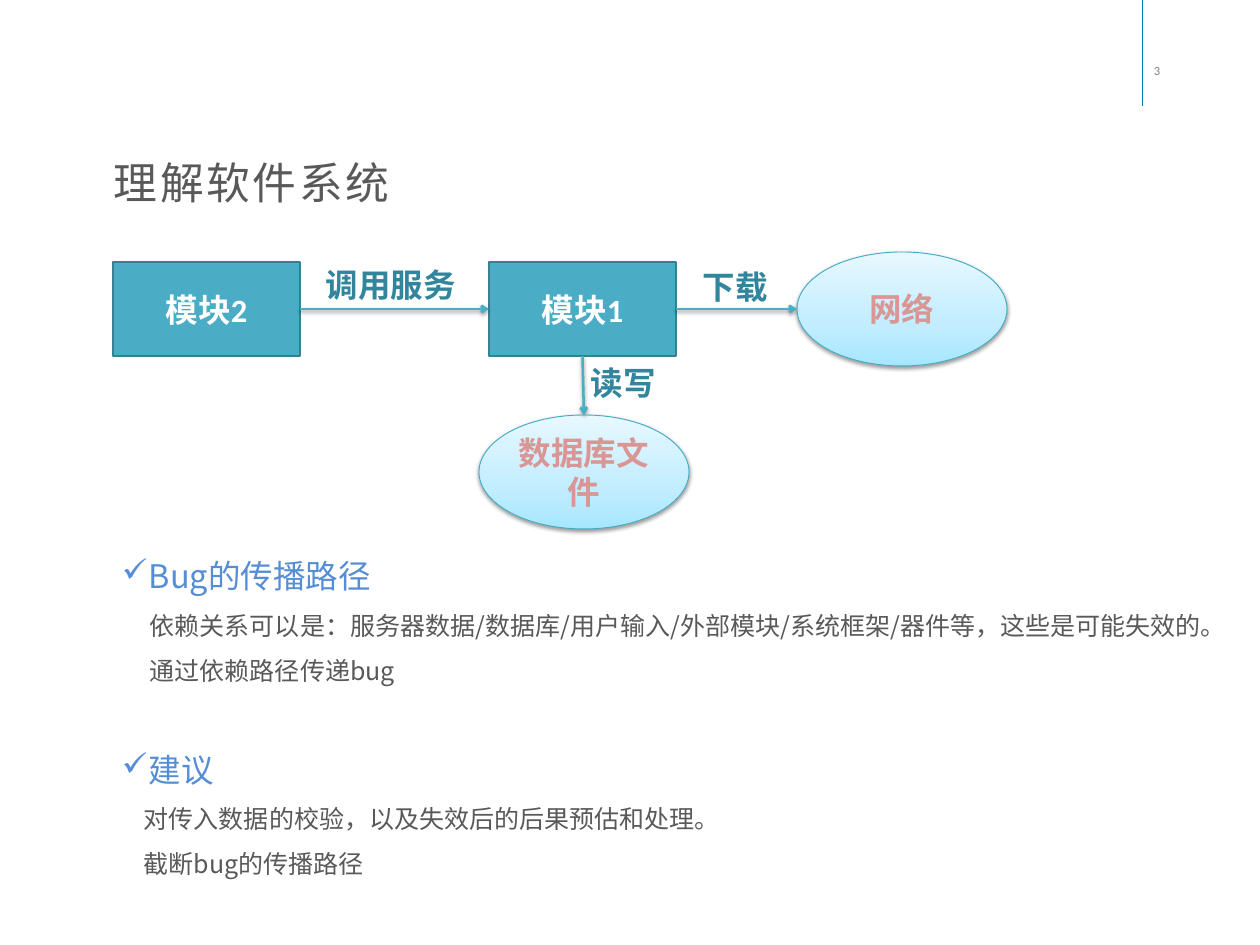
"""Build the slide on understanding a software system and how bugs spread in it."""
from dataclasses import dataclass
from typing import Optional

from lxml.etree import SubElement
from pptx import Presentation
from pptx.dml.color import RGBColor
from pptx.enum.shapes import MSO_CONNECTOR as Link, MSO_SHAPE as Preset
from pptx.enum.text import MSO_ANCHOR as Anchor, PP_ALIGN as Align
from pptx.oxml.ns import qn
from pptx.util import Emu, Pt

PX = 10160


@dataclass(frozen=True)
class Theme:
    sans: str = "Noto Sans CJK SC"
    node_font: str = "Calibri"
    label_font: str = "Arial"
    title_size: int = 35
    head_size: int = 26
    body_size: int = 20
    number_size: int = 10
    ink: str = "595959"
    muted: str = "7F7F7F"
    heading: str = "558ED5"
    rule: str = "0076B8"
    module: str = "4BACC6"
    module_edge: str = "377F92"
    module_text: str = "FFFFFF"
    resource_edge: str = "46AAC5"
    resource_text: str = "D99694"
    label: str = "31859C"
    shadow: str = "000000"
    gradient: tuple = ((0, "A7E6FF"), (35, "C1EDFF"), (100, "E7F8FF"))


@dataclass(frozen=True)
class Node:
    text: str
    left: int
    top: int
    is_module: bool

    @property
    def size(self) -> tuple[int, int]:
        return (187, 94) if self.is_module else (210, 114)


@dataclass(frozen=True)
class Arrow:
    start: str
    start_site: int
    end: str
    end_site: int
    label: str
    label_box: tuple[int, int, int, int]


@dataclass(frozen=True)
class Line:
    text: str
    indent: int
    is_heading: bool = False
    gap: int = 0


THEME = Theme()
NODES = (
    Node("模块1", 489, 262, True),
    Node("模块2", 113, 262, True),
    Node("网络", 797, 252, False),
    Node("数据库文件", 479, 415, False),
)
ARROWS = (
    Arrow("模块1", 3, "网络", 1, "下载", (694, 263, 84, 49)),
    Arrow("模块1", 2, "数据库文件", 0, "读写", (582, 359, 84, 49)),
    Arrow("模块2", 3, "模块1", 1, "调用服务", (317, 261, 149, 49)),
)
LINES = (
    Line("Bug的传播路径", 27, is_heading=True),
    Line("依赖关系可以是：服务器数据/数据库/用户输入/外部模块/系统框架/器件等，这些是可能失效的。", 28),
    Line("通过依赖路径传递bug", 28),
    Line("建议", 27, is_heading=True, gap=36),
    Line("对传入数据的校验，以及失效后的后果预估和处理。", 22),
    Line("截断bug的传播路径", 22),
)


def px(*lengths: int) -> list[Emu]:
    return [Emu(length * PX) for length in lengths]


def rgb(value: str) -> RGBColor:
    return RGBColor.from_string(value)


def write(para, text: str, *, size: int, color: str, font: str, east: str,
          bold: bool = False, spacing: int = 0, align: Optional[Align] = None,
          line_height: Optional[int] = None, gap: int = 0) -> None:
    span = para.add_run()
    span.text = text
    span.font.size = Pt(size)
    span.font.bold = bold
    span.font.name = font
    span.font.color.rgb = rgb(color)
    props = span.font._element
    props.set("lang", "zh-CN")
    if spacing:
        props.set("spc", str(spacing * 100))
    SubElement(props, qn("a:ea"), typeface=east)
    if align is not None:
        para.alignment = align
    if line_height:
        para.line_spacing = Pt(line_height)
    if gap:
        para.space_before = Pt(gap)


def add_box(page, bounds: tuple[int, int, int, int], *, wrap: bool = True):
    frame = page.shapes.add_textbox(*px(*bounds)).text_frame
    frame.word_wrap = wrap
    return frame


def add_shadow(effects) -> None:
    outer = SubElement(effects, qn("a:outerShdw"), blurRad="40000", dist="20000",
                       dir="5400000", rotWithShape="0")
    color = SubElement(outer, qn("a:srgbClr"), val=THEME.shadow)
    SubElement(color, qn("a:alpha"), val="38000")


def fill_gradient(shape) -> None:
    shape.fill.gradient()
    shape.fill.gradient_angle = 90
    stops = shape._element.spPr.find(qn("a:gradFill")).find(qn("a:gsLst"))
    for stop in list(stops):
        stops.remove(stop)
    for position, color in THEME.gradient:
        stop = SubElement(stops, qn("a:gs"), pos=str(position * 1000))
        SubElement(stop, qn("a:srgbClr"), val=color)


def add_node(page, node: Node):
    preset = Preset.RECTANGLE if node.is_module else Preset.OVAL
    shape = page.shapes.add_shape(preset, *px(node.left, node.top, *node.size))
    shape.shadow.inherit = False
    if node.is_module:
        shape.fill.solid()
        shape.fill.fore_color.rgb = rgb(THEME.module)
    else:
        fill_gradient(shape)
        add_shadow(shape._element.spPr.find(qn("a:effectLst")))
    shape.line.color.rgb = rgb(THEME.module_edge if node.is_module else THEME.resource_edge)
    shape.line.width = Pt(2 if node.is_module else 0.75)
    frame = shape.text_frame
    frame.word_wrap = True
    frame.vertical_anchor = Anchor.MIDDLE
    write(frame.paragraphs[0], node.text, size=THEME.head_size, bold=True,
          color=THEME.module_text if node.is_module else THEME.resource_text,
          font=THEME.node_font, east=THEME.node_font, align=Align.CENTER)
    return shape


def add_line(page, start: tuple[int, int], end: tuple[int, int], color: str, width: float):
    line = page.shapes.add_connector(Link.STRAIGHT, *start, *end)
    line.line.color.rgb = rgb(color)
    line.line.width = Pt(width)
    return line, SubElement(line._element.spPr, qn("a:effectLst"))


def site_point(shape, site: int) -> tuple[int, int]:
    across, down = ((1, 0), (0, 1), (1, 2), (2, 1))[site]
    return shape.left + shape.width * across // 2, shape.top + shape.height * down // 2


def add_arrow(page, arrow: Arrow, shapes: dict) -> None:
    start, end = shapes[arrow.start], shapes[arrow.end]
    line, effects = add_line(page, site_point(start, arrow.start_site),
                             site_point(end, arrow.end_site), THEME.module, 2)
    line.begin_connect(start, arrow.start_site)
    if end.auto_shape_type == Preset.RECTANGLE or arrow.end_site == 0:
        line.end_connect(end, arrow.end_site)
    SubElement(line.line._get_or_add_ln(), qn("a:tailEnd"), type="arrow")
    add_shadow(effects)
    frame = add_box(page, arrow.label_box, wrap=False)
    write(frame.paragraphs[0], arrow.label, size=THEME.head_size, bold=True,
          color=THEME.label, font=THEME.label_font, east=THEME.node_font)


def add_body(page) -> None:
    frame = add_box(page, (113, 532, 1144, 355))
    for index, line in enumerate(LINES):
        para = frame.add_paragraph() if index else frame.paragraphs[0]
        heading = line.is_heading
        write(para, line.text, size=THEME.head_size if heading else THEME.body_size,
              color=THEME.heading if heading else THEME.ink, font=THEME.sans,
              east=THEME.sans, line_height=47 if heading else 36, gap=line.gap)
        props = para._p.get_or_add_pPr()
        props.set("marL", str(line.indent * PX if heading else 0))
        props.set("indent", str(line.indent * PX * (-1 if heading else 1)))
        if heading:
            SubElement(props, qn("a:buChar"), char="✓")


def main() -> None:
    deck = Presentation()
    deck.slide_width, deck.slide_height = px(1260, 945)
    page = deck.slides.add_slide(deck.slide_layouts[6])
    add_line(page, px(1142, 0), px(1142, 106), THEME.rule, 0.5)
    number = add_box(page, (1145, 59, 61, 24))
    write(number.paragraphs[0], "3", size=THEME.number_size, color=THEME.muted,
          font=THEME.node_font, east=THEME.node_font)
    title = add_box(page, (101, 140, 844, 63))
    title.margin_left, title.margin_top = px(13, 6)
    write(title.paragraphs[0], "理解软件系统", size=THEME.title_size, color=THEME.ink,
          font=THEME.sans, east=THEME.sans, spacing=2, line_height=50)
    add_body(page)
    shapes = {node.text: add_node(page, node) for node in NODES}
    for arrow in ARROWS:
        add_arrow(page, arrow, shapes)
    deck.save("out.pptx")


if __name__ == "__main__":
    main()
